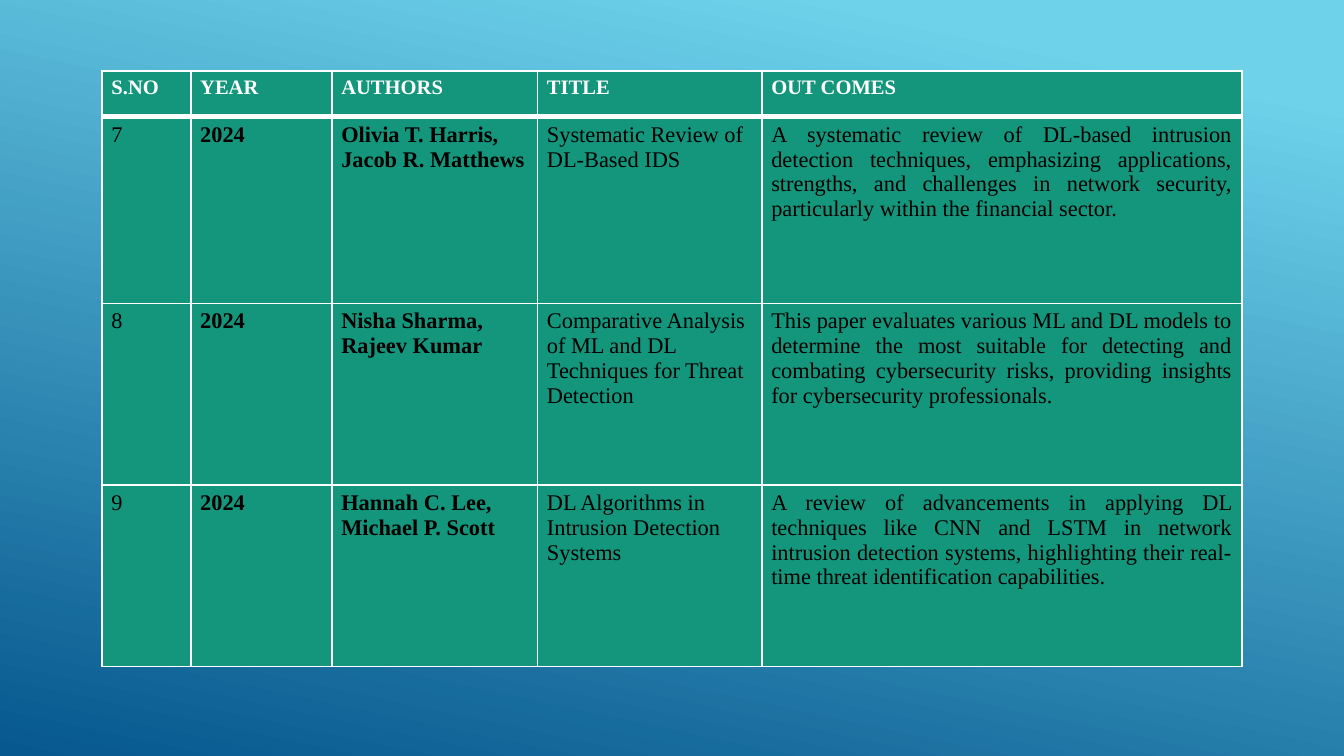
from dataclasses import astuple, dataclass

from lxml.etree import SubElement
from pptx import Presentation
from pptx.dml.color import RGBColor
from pptx.enum.text import PP_ALIGN as Align
from pptx.oxml.ns import qn
from pptx.slide import Slide
from pptx.table import Table, _Cell as Cell
from pptx.util import Inches, Pt

WHITE = RGBColor(0xFF, 0xFF, 0xFF)
BLACK = RGBColor(0x00, 0x00, 0x00)
GREEN = RGBColor(0x14, 0x96, 0x7C)
SKY = RGBColor(0x6E, 0xD2, 0xEB)
NAVY = RGBColor(0x06, 0x58, 0x8E)
FONT = "Times New Roman"


@dataclass(frozen=True)
class Column:
    heading: str
    width: float
    bold: bool
    alignment: Align


@dataclass(frozen=True)
class Paper:
    number: str
    year: str
    authors: str
    title: str
    outcome: str


COLUMNS = [
    Column("S.NO", 0.66, False, Align.JUSTIFY),
    Column("YEAR", 1.05, True, Align.JUSTIFY),
    Column("AUTHORS", 1.53, True, Align.LEFT),
    Column("TITLE", 1.67, False, Align.LEFT),
    Column("OUT COMES", 3.57, False, Align.JUSTIFY),
]
ROW_HEIGHTS = [0.34, 1.39, 1.35, 1.35]
PAPERS = [
    Paper("7", "2024", "Olivia T. Harris, Jacob R. Matthews",
          "Systematic Review of DL-Based IDS",
          "A systematic review of DL-based intrusion detection techniques, "
          "emphasizing applications, strengths, and challenges in network "
          "security, particularly within the financial sector."),
    Paper("8", "2024", "Nisha Sharma, Rajeev Kumar",
          "Comparative Analysis of ML and DL Techniques for Threat Detection",
          "This paper evaluates various ML and DL models to determine the most "
          "suitable for detecting and combating cybersecurity risks, providing "
          "insights for cybersecurity professionals."),
    Paper("9", "2024", "Hannah C. Lee, Michael P. Scott",
          "DL Algorithms in Intrusion Detection Systems",
          "A review of advancements in applying DL techniques like CNN and LSTM "
          "in network intrusion detection systems, highlighting their real-time "
          "threat identification capabilities."),
]


def paint_background(slide: Slide) -> None:
    fill = slide.background.fill
    fill.gradient()
    fill.gradient_angle = 360 - 102
    for stop, position, color in zip(fill.gradient_stops, (0.1, 1), (SKY, NAVY)):
        stop.position = position
        stop.color.rgb = color


def set_borders(cell: Cell, top: float, bottom: float) -> None:
    """Draw white borders; the sides are 1 pt and the other widths are in points."""
    properties = cell._tc.get_or_add_tcPr()
    widths = {"a:lnL": 1, "a:lnR": 1, "a:lnT": top, "a:lnB": bottom}
    for index, (tag, width) in enumerate(widths.items()):
        line = SubElement(properties, qn(tag), w=str(Pt(width)))
        properties.insert(index, line)
        solid = SubElement(line, qn("a:solidFill"))
        SubElement(solid, qn("a:srgbClr"), val=str(WHITE))


def write_cell(cell: Cell, text: str, size: float, color: RGBColor,
               bold: bool, alignment: Align) -> None:
    cell.fill.solid()
    cell.fill.fore_color.rgb = GREEN
    cell.margin_left = cell.margin_right = Inches(0.07)
    cell.margin_top = cell.margin_bottom = Inches(0.04)
    cell.text_frame.text = text
    paragraph = cell.text_frame.paragraphs[0]
    paragraph.alignment = alignment
    font = paragraph.runs[0].font
    font.name = FONT
    font.size = Pt(size)
    font.bold = bold
    font.color.rgb = color


def add_paper_table(slide: Slide) -> Table:
    width = sum(column.width for column in COLUMNS)
    table = slide.shapes.add_table(
        len(ROW_HEIGHTS), len(COLUMNS), Inches(0.76), Inches(0.53),
        Inches(width), Inches(sum(ROW_HEIGHTS))).table
    for row, height in zip(table.rows, ROW_HEIGHTS):
        row.height = Inches(height)
    for index, column in enumerate(COLUMNS):
        table.columns[index].width = Inches(column.width)
        heading = table.cell(0, index)
        write_cell(heading, column.heading, 11, WHITE, True, Align.LEFT)
        set_borders(heading, top=1, bottom=3)
        for row_index, paper in enumerate(PAPERS, start=1):
            cell = table.cell(row_index, index)
            write_cell(cell, astuple(paper)[index], 12, BLACK,
                       column.bold, column.alignment)
            set_borders(cell, top=3 if row_index == 1 else 1, bottom=1)
    return table


def main() -> None:
    presentation = Presentation()
    presentation.slide_width = Inches(10)
    presentation.slide_height = Inches(10) * 9 // 16
    slide = presentation.slides.add_slide(presentation.slide_layouts[6])
    paint_background(slide)
    add_paper_table(slide)
    presentation.save("out.pptx")


if __name__ == "__main__":
    main()
